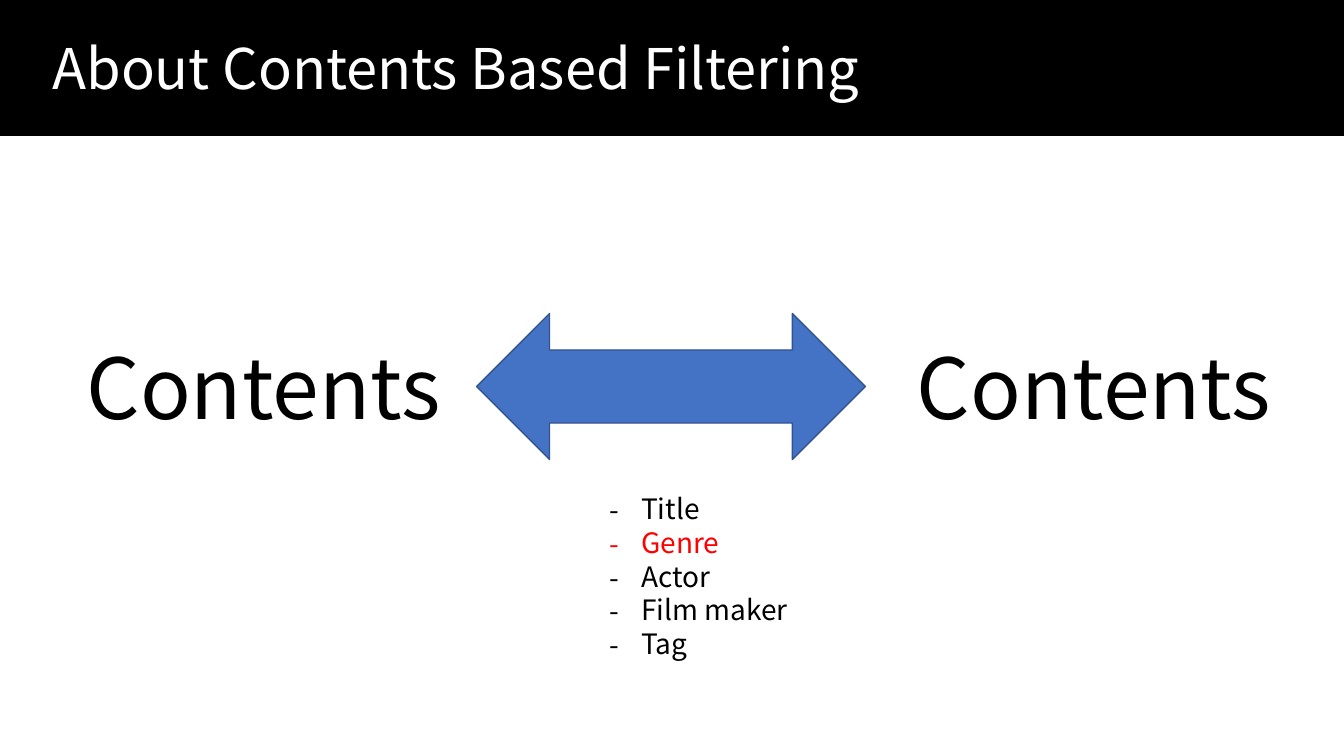
from lxml.etree import SubElement
from pptx import Presentation
from pptx.dml.color import RGBColor
from pptx.enum.shapes import MSO_SHAPE
from pptx.enum.text import MSO_ANCHOR, PP_ALIGN
from pptx.oxml.ns import qn
from pptx.util import Cm, Pt

FONT = "Noto Sans CJK KR"
BLACK = RGBColor(0x00, 0x00, 0x00)
WHITE = RGBColor(0xFF, 0xFF, 0xFF)
RED = RGBColor(0xFF, 0x00, 0x00)
BLUE = RGBColor(0x44, 0x72, 0xC4)
DARK_BLUE = RGBColor(0x32, 0x54, 0x91)
WIDTH, HEIGHT = 33.87, 19.05


def place(sp, left, top, width, height):
    sp.left, sp.top, sp.width, sp.height = map(Cm, (left, top, width, height))


def write(p, text, size, color=BLACK, bullet=None, indent=0.8):
    p.alignment = PP_ALIGN.LEFT
    p.line_spacing = Pt(size * 1.2)
    r = p.add_run()
    r.text = text
    r.font.name = FONT
    r.font.size = Pt(size)
    r.font.color.rgb = color
    pPr = p._p.get_or_add_pPr()
    ea = SubElement(r._r.get_or_add_rPr(), qn("a:ea"))
    ea.set("typeface", FONT)
    if bullet:
        pPr.set("marL", str(Cm(indent)))
        pPr.set("indent", str(-Cm(indent)))
        SubElement(pPr, qn("a:buFont")).set("typeface", FONT)
        SubElement(pPr, qn("a:buChar")).set("char", bullet)


def add_block(s, kind, left, top, width, height, fill, line):
    sp = s.shapes.add_shape(kind, 0, 0, 0, 0)
    place(sp, left, top, width, height)
    sp.shadow.inherit = False
    sp.fill.solid()
    sp.fill.fore_color.rgb = fill
    sp.line.color.rgb = line
    sp.line.width = Pt(1)


def add_text(s, left, top, width, height):
    sp = s.shapes.add_textbox(0, 0, 0, 0)
    place(sp, left, top, width, height)
    sp.text_frame.word_wrap = True
    return sp.text_frame


def add_header(s, left, top, width, height):
    add_block(s, MSO_SHAPE.RECTANGLE, left, top, width, height, BLACK, BLACK)
    title = s.shapes.title
    s.shapes._spTree.append(title._element)
    place(title, left + 1.07, top + 0.71, 28.19, 1.96)
    title.text_frame.vertical_anchor = MSO_ANCHOR.MIDDLE
    write(title.text_frame.paragraphs[0], "About Contents Based Filtering", 40, WHITE)


def add_comparison(s, left, top, width, height):
    label_width, label_height = 9.53, 2.82
    label_top = top + (height - label_height) / 2
    add_block(s, MSO_SHAPE.LEFT_RIGHT_ARROW, left + 10.08, top, 9.8, height, BLUE, DARK_BLUE)
    for x in (left, left + width - label_width):
        tf = add_text(s, x, label_top, label_width, label_height)
        write(tf.paragraphs[0], "Contents", 60)


def add_features(s, left, top, width, height):
    tf = add_text(s, left, top, width, height)
    for i, feature in enumerate(("Title", "Genre", "Actor", "Film maker", "Tag")):
        p = tf.add_paragraph() if i else tf.paragraphs[0]
        write(p, feature, 20, RED if feature == "Genre" else BLACK, bullet="-")


prs = Presentation()
prs.slide_width, prs.slide_height = Cm(WIDTH), Cm(HEIGHT)
s = prs.slides.add_slide(prs.slide_layouts[5])
add_header(s, 0, 0, WIDTH, 3.4)
add_comparison(s, 1.93, 7.9, 30.46, 3.68)
add_features(s, 15.11, 12.27, 7.75, 4.52)
prs.save("out.pptx")
